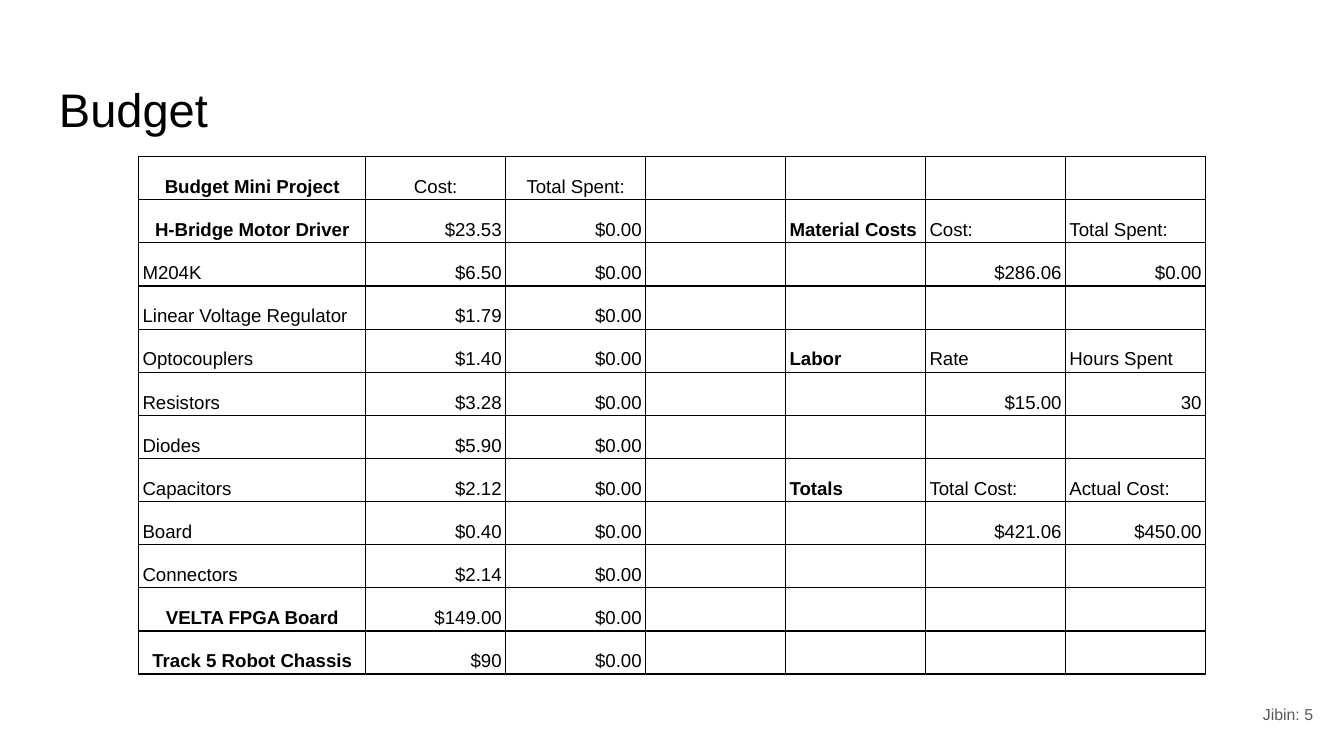
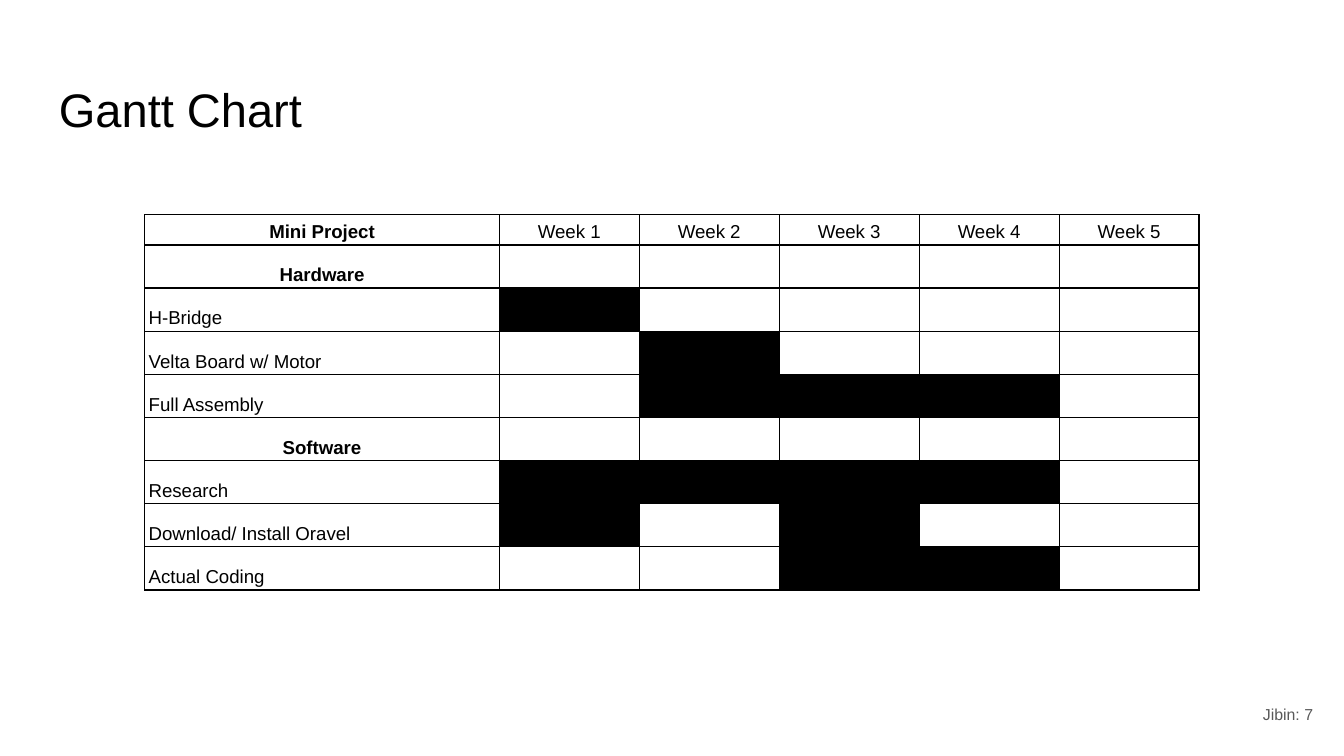
from dataclasses import dataclass

from pptx import Presentation
from pptx.dml.color import RGBColor
from pptx.enum import text as txt
from pptx.oxml import xmlchemy as xml
from pptx.util import Pt

# Shared style
FONT = "Arial"
BLACK = RGBColor(0x00, 0x00, 0x00)
GRAY = RGBColor(0x59, 0x59, 0x59)
WHITE = RGBColor(0xFF, 0xFF, 0xFF)
TITLE_SIZE, FOOTER_SIZE, CELL_SIZE = 25.2, 8.5, 10
BOX_INSET = 7.2
CELL_INSET_X, CELL_INSET_Y = 2.16, 1.2
BORDER_WIDTH = 0.75
ROW_HEIGHT = 23.12
HEADER_HEIGHT = 16
VALUE_WIDTH = 75
BAR = "#"  # a cell filled as a schedule bar

LEFT, CENTER, RIGHT = (txt.PP_ALIGN.LEFT, txt.PP_ALIGN.CENTER,
                       txt.PP_ALIGN.RIGHT)


@dataclass(frozen=True)
class Box:
    left: float
    top: float
    width: float
    height: float


@dataclass(frozen=True)
class TableSlide:
    title: str
    footer: str
    left: float
    top: float
    label_width: float
    header_height: float
    rows: list[tuple[str, ...]]
    bold: set[str]


TITLE_BOX = Box(24.5, 35.3, 671, 45.2)
FOOTER_BOX = Box(667.4, 367.2, 43.2, 31)

# Content: short rows are filled up with empty cells
NONE_SPENT = "$0.00"
BUDGET = TableSlide(
    "Budget", "Jibin: 5", 74.2, 83.9, 121.7, ROW_HEIGHT,
    [
        ("Budget Mini Project", "Cost:", "Total Spent:", "", "", "", ""),
        ("H-Bridge Motor Driver", "$23.53", NONE_SPENT, "",
         "Material Costs", "Cost:", "Total Spent:"),
        ("M204K", "$6.50", NONE_SPENT, "", "", "$286.06", NONE_SPENT),
        ("Linear Voltage Regulator", "$1.79", NONE_SPENT),
        ("Optocouplers", "$1.40", NONE_SPENT, "",
         "Labor", "Rate", "Hours Spent"),
        ("Resistors", "$3.28", NONE_SPENT, "", "", "$15.00", "30"),
        ("Diodes", "$5.90", NONE_SPENT),
        ("Capacitors", "$2.12", NONE_SPENT, "",
         "Totals", "Total Cost:", "Actual Cost:"),
        ("Board", "$0.40", NONE_SPENT, "", "", "$421.06", "$450.00"),
        ("Connectors", "$2.14", NONE_SPENT),
        ("VELTA FPGA Board", "$149.00", NONE_SPENT),
        ("Track 5 Robot Chassis", "$90", NONE_SPENT),
    ],
    {"Budget Mini Project", "H-Bridge Motor Driver", "Material Costs",
     "Labor", "Totals", "VELTA FPGA Board", "Track 5 Robot Chassis"},
)
GANTT = TableSlide(
    "Gantt Chart", "Jibin: 7", 77.5, 115, 190, HEADER_HEIGHT,
    [
        ("Mini Project", *(f"Week {week}" for week in range(1, 6))),
        ("Hardware",),
        ("H-Bridge", BAR),
        ("Velta Board w/ Motor", "", BAR),
        ("Full Assembly", "", BAR, BAR, BAR),
        ("Software",),
        ("Research", BAR, BAR, BAR, BAR),
        ("Download/ Install Oravel", BAR, "", BAR),
        ("Actual Coding", "", "", BAR, BAR),
    ],
    {"Mini Project", "Hardware", "Software"},
)


def style_font(font, size: float, color: RGBColor, bold: bool = False) -> None:
    font.name = FONT
    font.size = Pt(size)
    font.bold = bold
    font.color.rgb = color


def add_text(slide, box: Box, words: str, size: float, color: RGBColor,
             alignment, anchor) -> None:
    shape = slide.shapes.add_textbox(Pt(box.left), Pt(box.top),
                                     Pt(box.width), Pt(box.height))
    frame = shape.text_frame
    frame.word_wrap = True
    frame.vertical_anchor = anchor
    frame.margin_left = frame.margin_right = Pt(BOX_INSET)
    frame.margin_top = frame.margin_bottom = Pt(BOX_INSET)
    paragraph = frame.paragraphs[0]
    paragraph.alignment = alignment
    run = paragraph.add_run()
    run.text = words
    style_font(run.font, size, color)


def add_borders(cell) -> None:
    properties = cell._tc.get_or_add_tcPr()
    for side in ("a:lnL", "a:lnR", "a:lnT", "a:lnB"):
        line = xml.OxmlElement(side)
        line.set("w", str(int(Pt(BORDER_WIDTH))))
        fill = xml.OxmlElement("a:solidFill")
        color = xml.OxmlElement("a:srgbClr")
        color.set("val", str(BLACK))
        fill.append(color)
        line.append(fill)
        properties.append(line)


def set_empty_size(paragraph) -> None:
    """Keep an empty cell from growing past its row height."""
    end = xml.OxmlElement("a:endParaRPr")
    end.set("sz", str(CELL_SIZE * 100))
    paragraph._p.append(end)


def fill_cell(cell, words: str, bold: bool, header: bool,
              first: bool) -> None:
    cell.margin_left = cell.margin_right = Pt(CELL_INSET_X)
    cell.margin_top = cell.margin_bottom = Pt(CELL_INSET_Y)
    cell.vertical_anchor = txt.MSO_ANCHOR.BOTTOM
    add_borders(cell)
    paragraph = cell.text_frame.paragraphs[0]
    if words == BAR:
        cell.fill.solid()
        cell.fill.fore_color.rgb = BLACK
    else:
        cell.fill.background()
    if words in ("", BAR):
        set_empty_size(paragraph)
        return

    # Headings are centred, amounts sit right, other text left
    if header or (first and bold):
        paragraph.alignment = CENTER
    elif words.startswith("$") or words.isdigit():
        paragraph.alignment = RIGHT
    else:
        paragraph.alignment = LEFT
    paragraph.line_spacing = 1.15
    run = paragraph.add_run()
    run.text = words
    style_font(run.font, CELL_SIZE, BLACK, bold)


def add_grid(slide, content: TableSlide) -> None:
    row_count, column_count = len(content.rows), len(content.rows[0])
    widths = [content.label_width] + [VALUE_WIDTH] * (column_count - 1)
    heights = [content.header_height] + [ROW_HEIGHT] * (row_count - 1)
    table = slide.shapes.add_table(
        row_count, column_count, Pt(content.left), Pt(content.top),
        Pt(sum(widths)), Pt(sum(heights))).table
    table.first_row = table.horz_banding = False
    for column, width in zip(table.columns, widths):
        column.width = Pt(width)
    for row, height in zip(table.rows, heights):
        row.height = Pt(height)
    for row_index, row in enumerate(content.rows):
        padded = row + ("",) * (column_count - len(row))
        for column_index, words in enumerate(padded):
            fill_cell(table.cell(row_index, column_index), words,
                      words in content.bold, row_index == 0,
                      column_index == 0)


def add_table_slide(presentation, content: TableSlide) -> None:
    slide = presentation.slides.add_slide(presentation.slide_layouts[6])
    slide.background.fill.solid()
    slide.background.fill.fore_color.rgb = WHITE
    add_text(slide, TITLE_BOX, content.title, TITLE_SIZE, BLACK,
             LEFT, txt.MSO_ANCHOR.BOTTOM)
    add_text(slide, FOOTER_BOX, content.footer, FOOTER_SIZE, GRAY,
             RIGHT, txt.MSO_ANCHOR.MIDDLE)
    add_grid(slide, content)


# Build the slides
presentation = Presentation()
presentation.slide_width = Pt(720)
presentation.slide_height = Pt(405)
for content in (BUDGET, GANTT):
    add_table_slide(presentation, content)
presentation.save("out.pptx")
